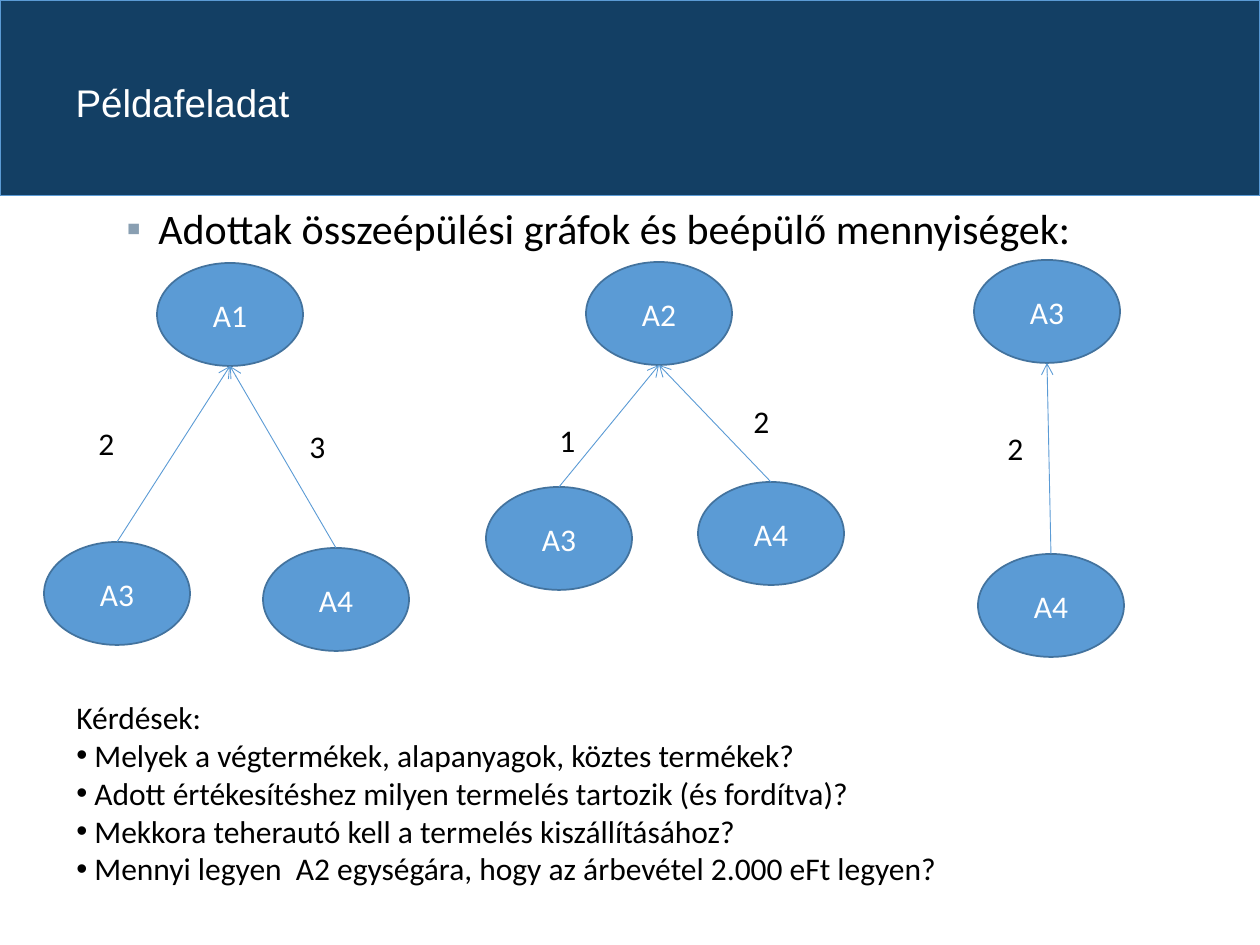
from lxml.etree import SubElement
from pptx import Presentation
from pptx.dml.color import RGBColor
from pptx.enum.shapes import MSO_CONNECTOR, MSO_SHAPE
from pptx.enum.text import MSO_ANCHOR, PP_ALIGN
from pptx.oxml.ns import qn
from pptx.util import Emu, Pt

NAVY = RGBColor(0x13, 0x3F, 0x64)
BLUE = RGBColor(0x5B, 0x9B, 0xD5)
EDGE = RGBColor(0x43, 0x73, 0x9E)
GRAY = RGBColor(0x89, 0x9F, 0xB2)
BLACK = RGBColor(0, 0, 0)
WHITE = RGBColor(255, 255, 255)

SCALE = 914400 / 126
NODE_W, NODE_H = 146, 103


def px(*values):
    return [Emu(round(v * SCALE)) for v in values]


class Deck:
    font = {"name": "Calibri", "size": Pt(18)}

    def __init__(self):
        self.prs = Presentation()
        self.prs.slide_width, self.prs.slide_height = px(1260, 945)
        self.slide = self.prs.slides.add_slide(self.prs.slide_layouts[5])
        self.shapes = self.slide.shapes

    def label(self, para, text, color=BLACK, spacing=None, align=PP_ALIGN.LEFT, **style):
        para.alignment = align
        para.line_spacing = spacing
        run = para.add_run()
        run.text = text
        for key, value in {**self.font, **style}.items():
            setattr(run.font, key, value)
        run.font.color.rgb = color

    def bullet(self, para, mark, indent, color=None):
        props = para._p.get_or_add_pPr()
        step = px(indent)[0]
        props.set("marL", str(step))
        props.set("indent", str(-step))
        if color is not None:
            tint = SubElement(props, qn("a:buClr"))
            SubElement(tint, qn("a:srgbClr"), val=str(color))
        SubElement(props, qn("a:buFont"), typeface="Arial")
        SubElement(props, qn("a:buChar"), char=mark)

    def title(self, text, *box):
        title = self.shapes.title
        title.left, title.top, title.width, title.height = px(*box)
        title.text_frame.vertical_anchor = MSO_ANCHOR.MIDDLE
        self.label(title.text_frame.paragraphs[0], text, WHITE, 0.9,
                   name="Arial", size=Pt(22))

    def shape(self, kind, box, fill, line, width):
        shape = self.shapes.add_shape(kind, *px(*box))
        shape.shadow.inherit = False
        shape.fill.solid()
        shape.fill.fore_color.rgb = fill
        shape.line.color.rgb = line
        shape.line.width = Pt(width)
        return shape

    def band(self, *box):
        band = self.shape(MSO_SHAPE.RECTANGLE, box, NAVY, BLUE, 0.5)
        self.shapes.title.element.addprevious(band.element)

    def node(self, text, x, y):
        node = self.shape(MSO_SHAPE.OVAL, (x, y, NODE_W, NODE_H), BLUE, EDGE, 1)
        node.text_frame.vertical_anchor = MSO_ANCHOR.MIDDLE
        self.label(node.text_frame.paragraphs[0], text, WHITE, align=PP_ALIGN.CENTER)

    def arrow(self, child, parent):
        """Link the top of the child to the bottom of the parent."""
        half = NODE_W // 2
        ends = px(child[0] + half, child[1], parent[0] + half, parent[1] + NODE_H)
        arrow = self.shapes.add_connector(MSO_CONNECTOR.STRAIGHT, *ends)
        arrow.line.color.rgb = BLUE
        arrow.line.width = Pt(0.5)
        props = arrow.element.spPr
        SubElement(props.find(qn("a:ln")), qn("a:tailEnd"), type="arrow")
        SubElement(props, qn("a:effectLst"))

    def text(self, lines, *box, mark=None, indent=0, tint=None, plain=0, **style):
        """Lines after the first `plain` ones get the bullet mark."""
        frame = self.shapes.add_textbox(*px(*box)).text_frame
        frame.word_wrap = True
        for i, line in enumerate(lines):
            para = frame.add_paragraph() if i else frame.paragraphs[0]
            self.label(para, line, **style)
            if mark and i >= plain:
                self.bullet(para, mark, indent, tint)


# Each graph: root, then children with name, place, quantity and label box
GRAPHS = [
    (("A1", 157, 263), [("A3", 44, 542, "2", (86, 418, 57, 50)),
                        ("A4", 263, 548, "3", (297, 421, 60, 50))]),
    (("A2", 586, 262), [("A3", 486, 487, "1", (547, 415, 48, 50)),
                        ("A4", 698, 482, "2", (741, 396, 57, 50))]),
    (("A3", 974, 260), [("A4", 978, 554, "2", (995, 423, 33, 50))]),
]

QUESTIONS = [
    "Kérdések:",
    "Melyek a végtermékek, alapanyagok, köztes termékek?",
    "Adott értékesítéshez milyen termelés tartozik (és fordítva)?",
    "Mekkora teherautó kell a termelés kiszállításához?",
    "Mennyi legyen  A2 egységára, hogy az árbevétel 2.000 eFt legyen?",
]


def main():
    deck = Deck()

    # Header and lead line
    deck.title("Példafeladat", 63, 42, 1134, 126)
    deck.band(0, 0, 1260, 196)
    deck.text(["Adottak összeépülési gráfok és beépülő mennyiségek:"],
              114, 202, 1134, 102, mark="▪", indent=32, tint=GRAY,
              spacing=0.9, size=Pt(24))

    # Graphs
    for root, kids in GRAPHS:
        deck.node(*root)
        for name, x, y, count, box in kids:
            deck.node(name, x, y)
            deck.arrow((x, y), root[1:])
            deck.text([count], *box)

    # Questions
    deck.text(QUESTIONS, 64, 692, 1081, 204, mark="•", indent=18, plain=1)

    deck.prs.save("out.pptx")


if __name__ == "__main__":
    main()
